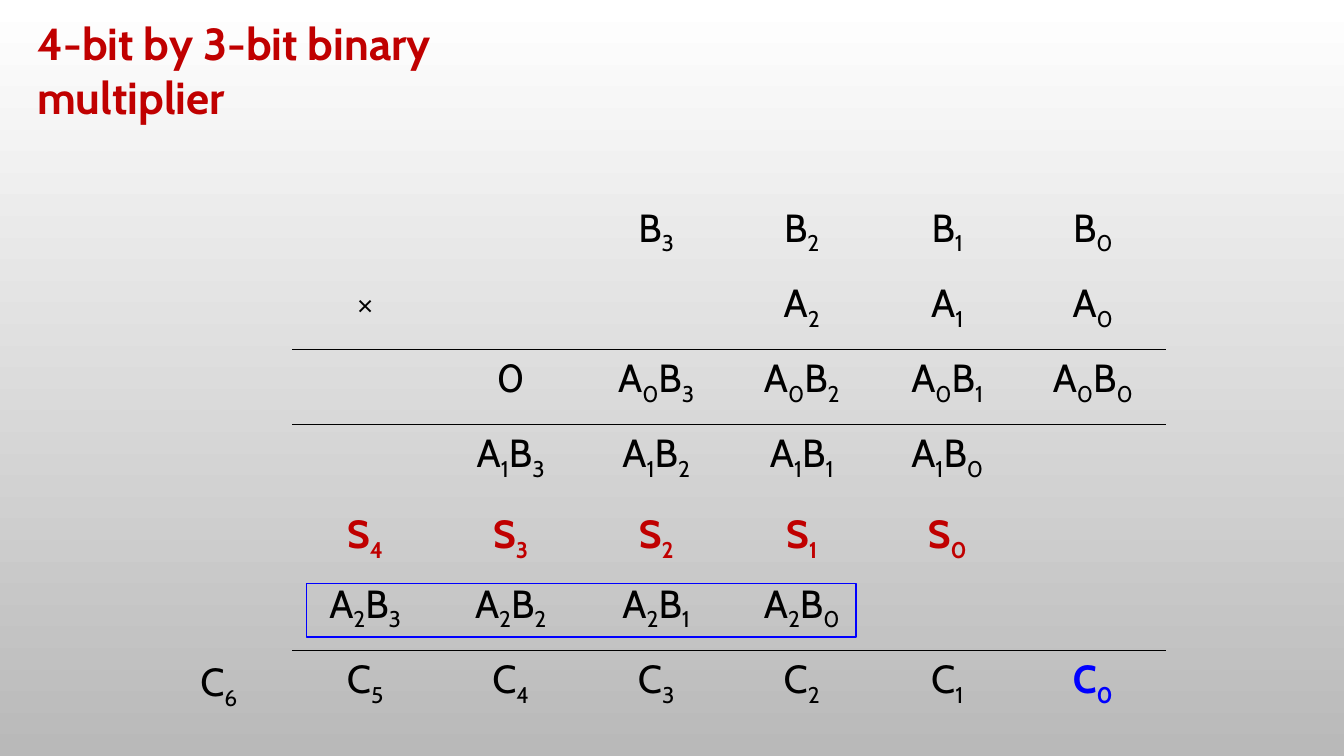
from pptx import Presentation
from pptx import util as u
from pptx.dml.color import RGBColor
from pptx.enum import shapes, text
from pptx.oxml import parse_xml
from pptx.oxml.ns import nsdecls, qn

FONT = "Cabin"
BLACK, RED, BLUE = "000000", "C00000", "0000FF"
NO_STYLE = "{2D5ABB26-0587-4C30-8999-92F81FD0307C}"
RULED_ROWS = (2, 6)  # rows with a line underneath
SUM_ROW = 5
ROWS = [
    ["", "", "", "", "", ""],
    ["", "", "B3", "B2", "B1", "B0"],
    ["×", "", "", "A2", "A1", "A0"],
    ["", "0", "A0B3", "A0B2", "A0B1", "A0B0"],
    ["", "A1B3", "A1B2", "A1B1", "A1B0", ""],
    ["S4", "S3", "S2", "S1", "S0", ""],
    ["A2B3", "A2B2", "A2B1", "A2B0", "", ""],
    ["C5", "C4", "C3", "C2", "C1", "C0"],
]


def rgb(value):
    return RGBColor.from_string(value)


def set_font(p, size, color, bold=False):
    p.font.name = FONT
    p.font.size = u.Pt(size)
    p.font.bold = bold
    p.font.color.rgb = rgb(color)


def write_term(tf, term, color=BLACK, bold=False):
    """Write a product term; every digit after a letter is a subscript."""
    p = tf.paragraphs[0]
    p.alignment = text.PP_ALIGN.CENTER
    set_font(p, 28, color, bold)
    for i, char in enumerate(term):
        r = p.add_run()
        r.text = char
        if i and char.isdigit():
            r._r.get_or_add_rPr().set("baseline", "-25000")


def add_border(cell, side):
    cell._tc.get_or_add_tcPr().insert(0, parse_xml(
        f'<a:{side} {nsdecls("a")} w="12700"><a:solidFill>'
        f'<a:srgbClr val="{BLACK}"/></a:solidFill></a:{side}>'))


def set_background(s):
    fill = s.background.fill
    fill.gradient()
    fill.gradient_angle = 270
    for stop, color in zip(fill.gradient_stops, ("FFFFFF", "B9B9B9")):
        stop.color.rgb = rgb(color)


def place_title(s, left, top, width, height):
    sp = s.shapes.title
    sp.left, sp.top, sp.width, sp.height = map(u.Inches, (left, top, width, height))
    tf = sp.text_frame
    tf.text = "4-bit by 3-bit binary multiplier"
    tf.word_wrap = True
    tf.auto_size = text.MSO_AUTO_SIZE.SHAPE_TO_FIT_TEXT
    tf.vertical_anchor = text.MSO_ANCHOR.TOP
    p = tf.paragraphs[0]
    p.alignment = text.PP_ALIGN.LEFT
    set_font(p, 32, RED, True)


def add_multiplication(s, left, top, width, height):
    # Grid of partial products
    frame = s.shapes.add_table(len(ROWS), len(ROWS[0]),
                               *map(u.Inches, (left, top, width, height)))
    table = frame.table
    table.first_row = table.horz_banding = False
    table._tbl.tblPr.find(qn("a:tableStyleId")).text = NO_STYLE
    for i, row in enumerate(ROWS):
        for j, term in enumerate(row):
            cell = table.cell(i, j)
            cell.fill.background()
            if i in RULED_ROWS:
                add_border(cell, "lnB")
            if i - 1 in RULED_ROWS:
                add_border(cell, "lnT")
            if i == SUM_ROW:
                cell.vertical_anchor = text.MSO_ANCHOR.MIDDLE
            color = RED if i == SUM_ROW else BLUE if term == "C0" else BLACK
            write_term(cell.text_frame, term, color, color != BLACK)

    # Carry digit left of the grid
    sp = s.shapes.add_textbox(*map(u.Inches, (left - 1.02, top + 5.24, 0.58, 0.57)))
    sp.text_frame.word_wrap = False
    sp.text_frame.auto_size = text.MSO_AUTO_SIZE.SHAPE_TO_FIT_TEXT
    write_term(sp.text_frame, "C6")

    # Frame around the last partial product
    sp = s.shapes.add_shape(shapes.MSO_SHAPE.RECTANGLE,
                            *map(u.Inches, (left + 0.14, top + 4.56, 5.45, 0.53)))
    sp.shadow.inherit = False
    sp.fill.background()
    sp.line.color.rgb = rgb(BLUE)
    sp.line.width = u.Pt(1.25)


def main():
    prs = Presentation()
    prs.slide_width, prs.slide_height = u.Inches(13.33), u.Inches(7.5)
    s = prs.slides.add_slide(prs.slide_layouts[5])
    set_background(s)
    place_title(s, 0.27, 0.11, 5.85, 0.64)
    add_multiplication(s, 2.9, 1.23, 8.66, 5.97)
    prs.save("out.pptx")


if __name__ == "__main__":
    main()
